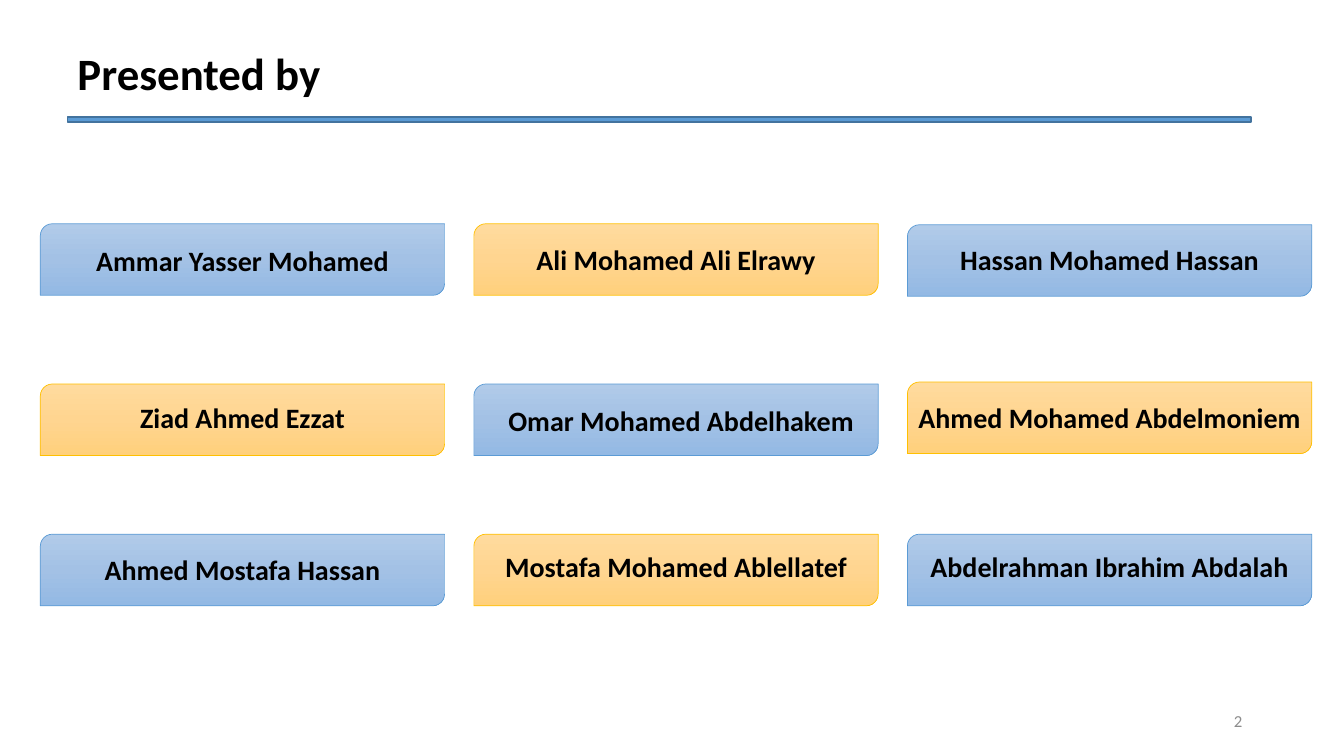
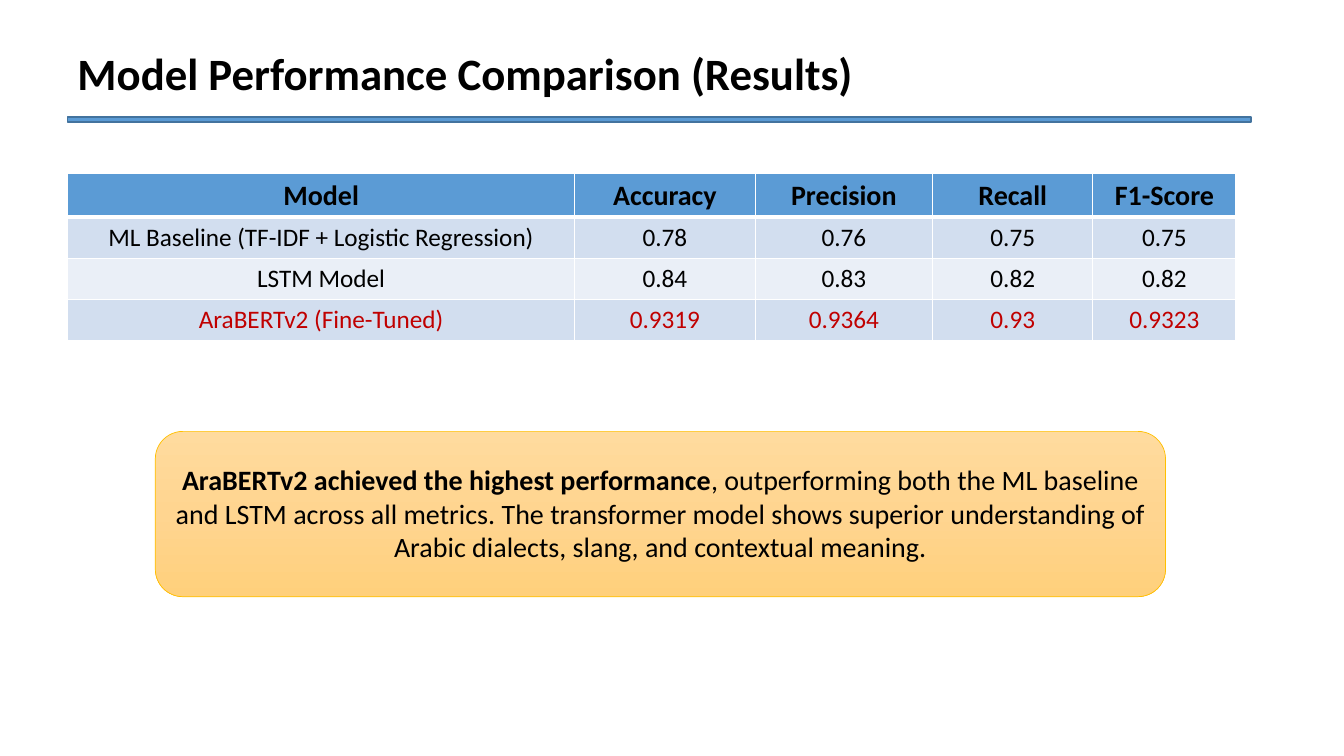
from copy import deepcopy

from lxml import etree
from pptx import Presentation
from pptx.dml.color import RGBColor
from pptx.enum.shapes import MSO_SHAPE
from pptx.enum.text import MSO_ANCHOR, MSO_AUTO_SIZE, PP_ALIGN
from pptx.oxml.ns import qn
from pptx.util import Emu, Pt

EMU_PER_PX = 9144  # 100 px to the inch
FONT = "Calibri"
COLORS = {
    "text": "000000",
    "muted": "8C8C8C",
    "highlight": "C00000",
    "accent": "5B9BD5",
    "accent_edge": "43739E",
    "grid": "FFFFFF",
    "band_dark": "D2DEEF",
    "band_light": "EAEFF7",
    "gold": "FFC000",
}
# Gradient stops from top to bottom, then the outline
CARD_STYLES = {
    "blue": (("B1CBE9", "A3C1E5", "93B9E4"), "accent"),
    "gold": (("FFDB9E", "FFD590", "FFD07C"), "gold"),
}


def px(length):
    return Emu(length * EMU_PER_PX)


def rgb(name):
    return RGBColor.from_string(COLORS[name])


class Deck:
    def __init__(self, width, height):
        self.presentation = Presentation()
        self.presentation.slide_width = px(width)
        self.presentation.slide_height = px(height)
        self.slide = None

    def new_slide(self, title):
        """Start a slide with its title and the rule below it."""
        self.slide = self.presentation.slides.add_slide(
            self.presentation.slide_layouts[6])
        self.text((67, 40, 1098, 64), [(title, True)], size=32,
                  align=PP_ALIGN.LEFT)
        rule = self.shape(MSO_SHAPE.RECTANGLE, (67, 116, 1174, 5),
                          "accent_edge", 1)
        rule.fill.solid()
        rule.fill.fore_color.rgb = rgb("accent")

    def shape(self, kind, box, edge, edge_width):
        shape = self.slide.shapes.add_shape(kind, *map(px, box))
        shape.shadow.inherit = False
        shape.line.color.rgb = rgb(edge)
        shape.line.width = Pt(edge_width)
        return shape

    def card(self, kind, box, style):
        stop_colors, edge = CARD_STYLES[style]
        card = self.shape(kind, box, edge, 0.5)
        card.fill.gradient()
        card.fill.gradient_angle = 270
        first_stop = next(card._element.spPr.iter(qn("a:gs")))
        first_stop.addnext(deepcopy(first_stop))
        for index, stop in enumerate(card.fill.gradient_stops):
            stop.position = index / 2
            stop.color.rgb = RGBColor.from_string(stop_colors[index])

    def add_runs(self, paragraph, runs, size, color, align):
        """Fill a paragraph with (text, bold) runs."""
        paragraph.alignment = align
        for content, bold in runs:
            run = paragraph.add_run()
            run.text = content
            run.font.name = FONT
            run.font.size = Pt(size)
            run.font.bold = bold
            run.font.color.rgb = rgb(color)

    def text(self, box, runs, size=20, color="text", align=PP_ALIGN.CENTER,
             anchor=MSO_ANCHOR.TOP, grow=True):
        frame = self.slide.shapes.add_textbox(*map(px, box)).text_frame
        frame.word_wrap = True
        frame.vertical_anchor = anchor
        if grow:
            frame.auto_size = MSO_AUTO_SIZE.SHAPE_TO_FIT_TEXT
        self.add_runs(frame.paragraphs[0], runs, size, color, align)

    def page_number(self, number):
        self.text((942, 695, 300, 40), [(str(number), False)], size=12,
                  color="muted", align=PP_ALIGN.RIGHT,
                  anchor=MSO_ANCHOR.MIDDLE, grow=False)

    def cell_borders(self, cell, widths):
        """Draw the left, right, top and bottom borders, in points."""
        properties = cell._tc.get_or_add_tcPr()
        for side, width in zip("LRTB", widths):
            line = etree.SubElement(properties, qn(f"a:ln{side}"),
                                    w=str(Pt(width)))
            fill = etree.SubElement(line, qn("a:solidFill"))
            etree.SubElement(fill, qn("a:srgbClr"), val=COLORS["grid"])

    def table(self, left, top, column_widths, row_height, rows):
        """Draw a banded table whose last row is highlighted."""
        table = self.slide.shapes.add_table(
            len(rows), len(column_widths), px(left), px(top),
            px(sum(column_widths)), px(row_height * len(rows))).table
        for column, width in zip(table.columns, column_widths):
            column.width = px(width)
        for r, values in enumerate(rows):
            header, last = r == 0, r == len(rows) - 1
            band = "band_dark" if r % 2 else "band_light"
            for c, value in enumerate(values):
                cell = table.cell(r, c)
                self.cell_borders(
                    cell, (1, 1, 3 if r == 1 else 1, 3 if header else 1))
                cell.fill.solid()
                cell.fill.fore_color.rgb = rgb("accent" if header else band)
                self.add_runs(cell.text_frame.paragraphs[0],
                              [(value, header)], 20 if header else 18,
                              "highlight" if last else "text",
                              PP_ALIGN.CENTER)


def presenters_slide(deck):
    deck.new_slide("Presented by")
    card_width, card_height, column_step = 401, 71, 430
    # Each presenter: name, top of the card, top of the name
    presenter_rows = [
        [("Ammar Yasser Mohamed", 222, 237),
         ("Ali Mohamed Ali Elrawy", 222, 236),
         ("Hassan Mohamed Hassan", 223, 236)],
        [("Ziad Ahmed Ezzat", 381, 392),
         ("Omar Mohamed Abdelhakem", 381, 395),
         ("Ahmed Mohamed Abdelmoniem", 379, 392)],
        [("Ahmed Mostafa Hassan", 530, 543),
         ("Mostafa Mohamed Ablellatef", 530, 540),
         ("Abdelrahman Ibrahim Abdalah", 530, 540)],
    ]
    for r, presenters in enumerate(presenter_rows):
        for c, (name, card_top, name_top) in enumerate(presenters):
            left = 40 + c * column_step
            deck.card(MSO_SHAPE.ROUND_2_DIAG_RECTANGLE,
                      (left, card_top, card_width, card_height),
                      "gold" if (r + c) % 2 else "blue")
            # The middle name sits slightly right of its card's centre
            shift = 5 if r == c == 1 else 0
            deck.text((left + shift, name_top, card_width, 44),
                      [(name, True)])
    deck.page_number(2)


def results_slide(deck):
    deck.new_slide("Model Performance Comparison (Results)")
    deck.table(67, 172, (503, 179, 176, 159, 142), 41, [
        ("Model", "Accuracy", "Precision", "Recall", "F1-Score"),
        ("ML Baseline (TF-IDF + Logistic Regression)",
         "0.78", "0.76", "0.75", "0.75"),
        ("LSTM Model", "0.84", "0.83", "0.82", "0.82"),
        ("AraBERTv2 (Fine-Tuned)", "0.9319", "0.9364", "0.93", "0.9323"),
    ])
    deck.card(MSO_SHAPE.ROUNDED_RECTANGLE, (154, 428, 1002, 164), "gold")
    deck.text((154, 454, 1002, 111), [
        ("AraBERTv2 achieved the highest performance", True),
        (", outperforming both the ML baseline and LSTM across all metrics. "
         "The transformer model shows superior understanding of Arabic "
         "dialects, slang, and contextual meaning.", False),
    ])


def main():
    deck = Deck(1333, 750)
    presenters_slide(deck)
    results_slide(deck)
    deck.presentation.save("out.pptx")


if __name__ == "__main__":
    main()
